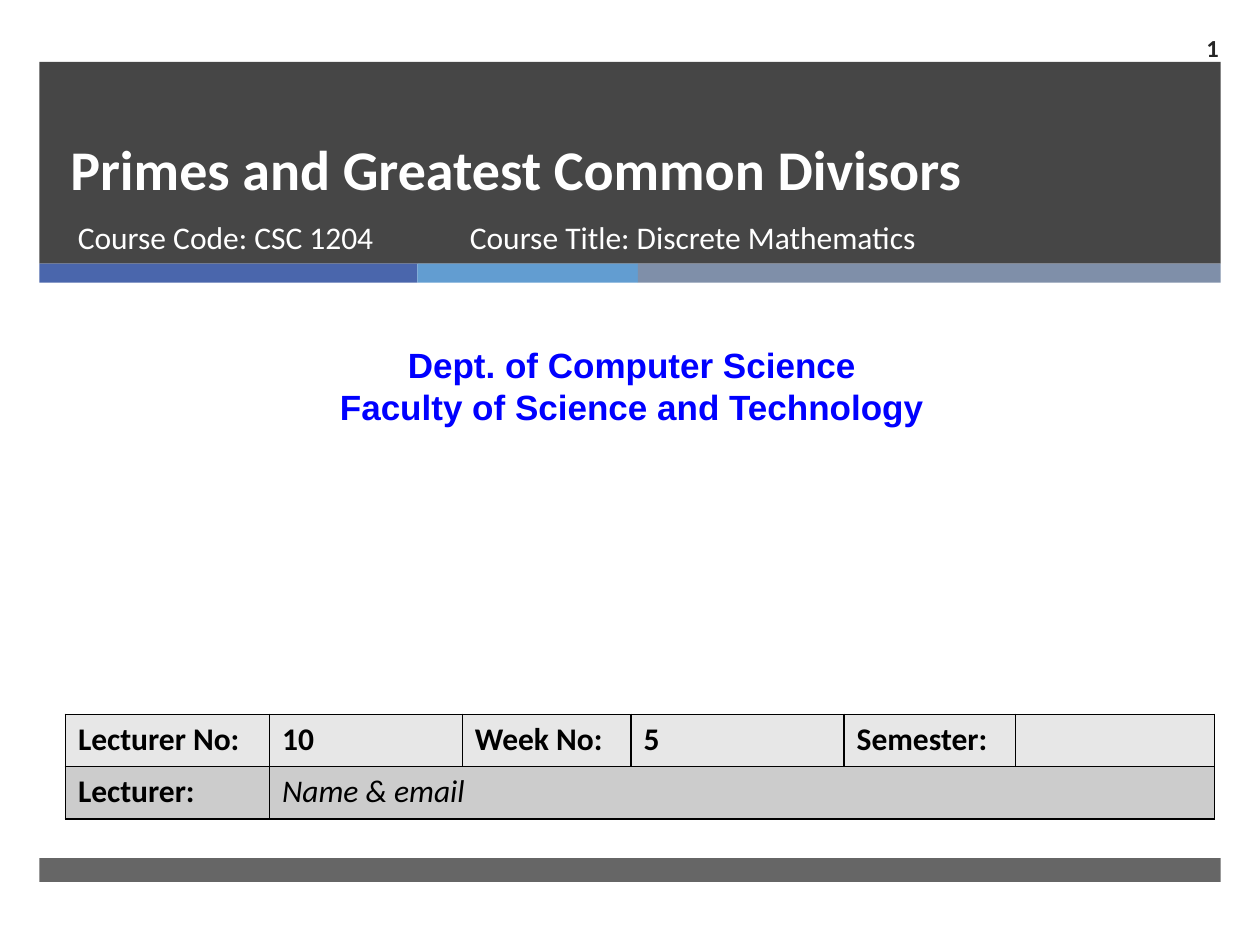
from lxml import etree
from pptx import Presentation
from pptx.dml.color import RGBColor
from pptx.enum import shapes, text
from pptx.oxml import ns
from pptx.util import Pt

LEFT, FULL = 22.5, 675
DARK, WHITE, BLACK = "262626", "FFFFFF", "000000"

# top, height, opacity in percent
PANELS = [(35.3, 115.4, 85), (490.3, 13.7, 70)]
STRIPE_TOP, STRIPE_HEIGHT = 150.7, 10.8
STRIPES = [(216, "4A66AC"), (126, "629DD1"), (333, "7F8FA9")]

# box, lines, style
TEXTS = [
    ((33.1, 33.1, 614.9, 85.7), ["Primes and Greatest Common Divisors"],
     dict(size=32, color=WHITE, bold=True, anchor="BOTTOM", spacing=46)),
    ((37.4, 121, 219.6, 38.2), ["Course Code: CSC 1204"],
     dict(size=18, color=WHITE)),
    ((5.8, 193, 710.6, 55.4),
     ["Dept. of Computer Science", "Faculty of Science and Technology"],
     dict(size=20, color="0000FF", bold=True, font="Arial", align="CENTER")),
    ((261.4, 121, 327.6, 38.2), ["Course Title: Discrete Mathematics"],
     dict(size=18, color=WHITE)),
    ((653.8, 13, 49.7, 28.1), ["1"],
     dict(size=14, color=DARK, bold=True, align="RIGHT", anchor="MIDDLE")),
]

TABLE_LEFT, TABLE_TOP, ROW_HEIGHT = 37.4, 408.2, 29.9
COLUMNS = [116.6, 110.2, 96.5, 121.7, 97.9, 113.8]
ROWS = [
    ("E7E7E7", ["Lecturer No:", "10", "Week No:", "5", "Semester:", ""]),
    ("CCCCCC", ["Lecturer:", "Name & email", "", "", "", ""]),
]


def paint(fill, color):
    """Give a fill one solid colour."""
    fill.solid()
    fill.fore_color.rgb = RGBColor.from_string(color)


def style(p, size, color, bold=False, italic=False, font="Calibri"):
    """Set the font of a paragraph."""
    f = p.font
    f.name, f.size, f.bold, f.italic = font, Pt(size), bold, italic
    f.color.rgb = RGBColor.from_string(color)


def add_bar(slide, left, top, width, height, color, opacity=100):
    """Add a borderless rectangle."""
    sp = slide.shapes.add_shape(shapes.MSO_SHAPE.RECTANGLE,
                                Pt(left), Pt(top), Pt(width), Pt(height))
    sp.shadow.inherit = False
    sp.line.fill.background()
    paint(sp.fill, color)
    if opacity < 100:
        clr = sp.fill._xPr.find(".//" + ns.qn("a:srgbClr"))
        etree.SubElement(clr, ns.qn("a:alpha"), val=str(opacity * 1000))


def add_text(slide, box, lines, align="LEFT", anchor="TOP", spacing=None, **font):
    """Add a wrapping text box with one paragraph per line."""
    tf = slide.shapes.add_textbox(*map(Pt, box)).text_frame
    tf.word_wrap = True
    tf.vertical_anchor = text.MSO_ANCHOR[anchor]
    tf.text = "\n".join(lines)
    for p in tf.paragraphs:
        p.alignment = text.PP_ALIGN[align]
        if spacing:
            p.line_spacing = Pt(spacing)
        style(p, **font)


def add_borders(cell):
    """Draw a thin black line on all sides of a cell."""
    tc_pr = cell._tc.get_or_add_tcPr()
    for side in ("lnL", "lnR", "lnT", "lnB"):
        ln = etree.SubElement(tc_pr, ns.qn("a:" + side), w=str(Pt(1)))
        solid = etree.SubElement(ln, ns.qn("a:solidFill"))
        etree.SubElement(solid, ns.qn("a:srgbClr"), val=BLACK)


def add_lecture_table(slide):
    """Add the table of lecture details."""
    table = slide.shapes.add_table(
        len(ROWS), len(COLUMNS), Pt(TABLE_LEFT), Pt(TABLE_TOP),
        Pt(sum(COLUMNS)), Pt(ROW_HEIGHT * len(ROWS))).table
    for column, width in zip(table.columns, COLUMNS):
        column.width = Pt(width)
    for row, (color, words) in zip(table.rows, ROWS):
        row.height = Pt(ROW_HEIGHT)
        for cell, word in zip(row.cells, words):
            cell.text = word
            italic = word == "Name & email"
            style(cell.text_frame.paragraphs[0], 18, BLACK, not italic, italic)
            add_borders(cell)
            paint(cell.fill, color)
    table.cell(1, 1).merge(table.cell(1, len(COLUMNS) - 1))


prs = Presentation()
prs.slide_width, prs.slide_height = Pt(720), Pt(540)
slide = prs.slides.add_slide(prs.slide_layouts[6])

for top, height, opacity in PANELS:
    add_bar(slide, LEFT, top, FULL, height, DARK, opacity)
x = LEFT
for width, color in STRIPES:
    add_bar(slide, x, STRIPE_TOP, width, STRIPE_HEIGHT, color)
    x += width
for box, lines, look in TEXTS:
    add_text(slide, box, lines, **look)
add_lecture_table(slide)

prs.save("out.pptx")
